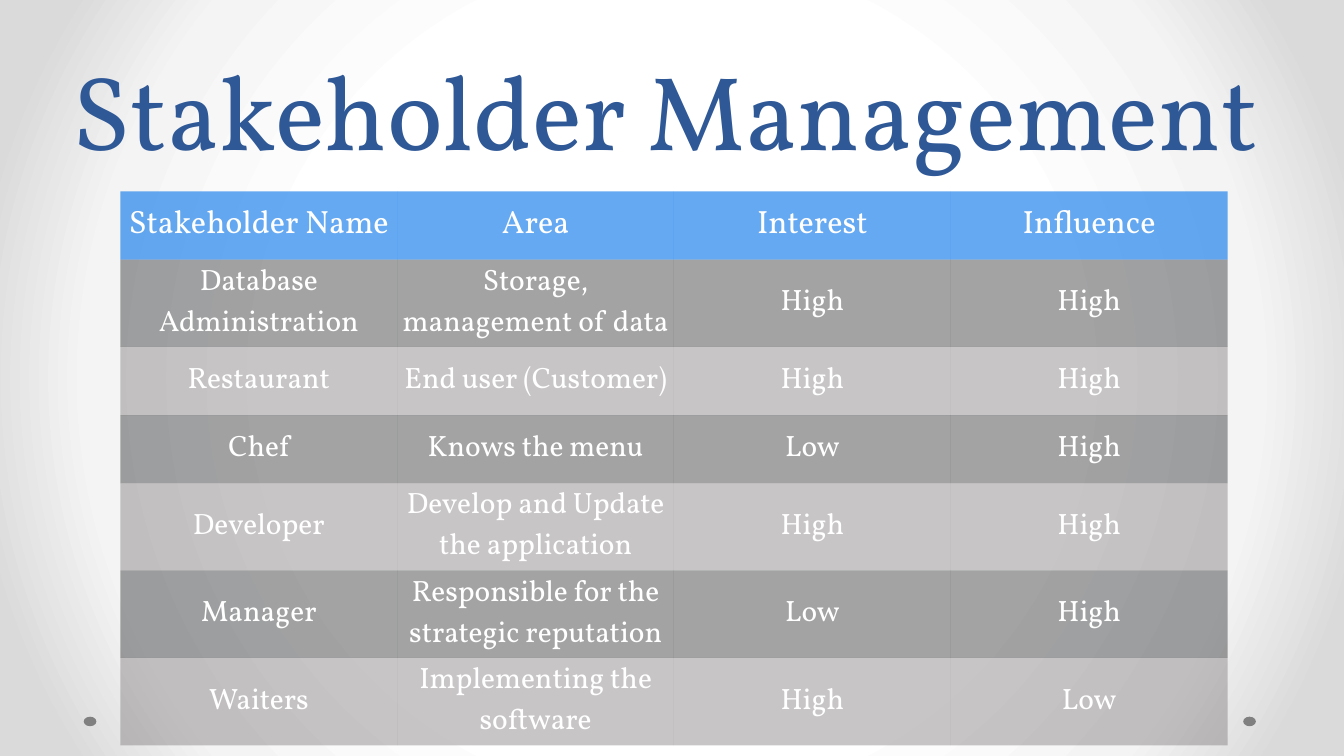
import pptx
import pptx.util
import pptx.dml.color
import pptx.enum.shapes
import pptx.enum.text
import pptx.oxml
import pptx.oxml.ns
import lxml.etree

Cm = pptx.util.Cm
Pt = pptx.util.Pt
RGBColor = pptx.dml.color.RGBColor
qn = pptx.oxml.ns.qn

FONT = "Vollkorn"
TITLE_BLUE = RGBColor(0x2F, 0x58, 0x97)
HEADER_BLUE = RGBColor(0x00, 0x71, 0xEB)
DARK_BAND = RGBColor(0x00, 0x02, 0x05)
LIGHT_BAND = RGBColor(0x67, 0x61, 0x64)
DOT_GREY = RGBColor(0x80, 0x80, 0x80)
WHITE = RGBColor(0xFF, 0xFF, 0xFF)
BACKDROP_STOPS = [(50, WHITE), (76, RGBColor(0xF4, 0xF4, 0xF4)),
                  (92, RGBColor(0xDA, 0xDA, 0xDA))]
NO_STYLE_NO_GRID = "{2D5ABB26-0587-4C30-8999-92F81FD0307C}"

STAKEHOLDERS = [
    ("Stakeholder Name", "Area", "Interest", "Influence"),
    ("Database Administration", "Storage, management of data", "High", "High"),
    ("Restaurant", "End user (Customer)", "High", "High"),
    ("Chef", "Knows the menu", "Low", "High"),
    ("Developer", "Develop and Update the application", "High", "High"),
    ("Manager", "Responsible for the strategic reputation", "Low", "High"),
    ("Waiters", "Implementing the software", "High", "Low"),
]
ROW_HEIGHTS = [3.43, 3.53, 3.43, 3.43, 3.53, 3.53, 3.53]
COLUMN_WIDTH = 13.95

presentation = pptx.Presentation()
presentation.slide_width = Cm(67.74)
presentation.slide_height = Cm(38.1)
slide = presentation.slides.add_slide(presentation.slide_layouts[0])

# Radial background
slide.background.fill.gradient()
linear = next(slide.element.iter(qn("a:gradFill")))
stops = "".join(f'<a:gs pos="{position * 1000}"><a:srgbClr val="{color}"/></a:gs>'
                for position, color in BACKDROP_STOPS)
radial = pptx.oxml.parse_xml(
    f'<a:gradFill {pptx.oxml.ns.nsdecls("a")} rotWithShape="1"><a:gsLst>{stops}</a:gsLst>'
    '<a:path path="circle"><a:fillToRect l="50000" t="50000" r="50000" b="50000"/>'
    '</a:path></a:gradFill>')
linear.getparent().replace(linear, radial)

# Corner dots
for left in (62.66, 4.22):
    dot = slide.shapes.add_shape(pptx.enum.shapes.MSO_SHAPE.OVAL,
                                 Cm(left), Cm(36.12), Cm(0.64), Cm(0.48))
    dot.shadow.inherit = False
    dot.fill.solid()
    dot.fill.fore_color.rgb = DOT_GREY
    dot.line.fill.background()

# Title, with the unused subtitle removed
subtitle = slide.placeholders[1].element
subtitle.getparent().remove(subtitle)
title = slide.shapes.title
title.left, title.top, title.width, title.height = Cm(2.06), Cm(-4.75), Cm(62.94), Cm(13.69)
frame = title.text_frame
frame.text = "Stakeholder Management"
frame.word_wrap = True
frame.auto_size = pptx.enum.text.MSO_AUTO_SIZE.NONE
frame.vertical_anchor = pptx.enum.text.MSO_ANCHOR.BOTTOM
frame.margin_left = frame.margin_right = Cm(0.6)
frame.margin_top = frame.margin_bottom = Cm(0.3)
paragraph = frame.paragraphs[0]
paragraph.alignment = pptx.enum.text.PP_ALIGN.CENTER
paragraph.font.name = FONT
paragraph.font.size = Pt(150)
paragraph.font.color.rgb = TITLE_BLUE

# Stakeholder table
table = slide.shapes.add_table(
    len(STAKEHOLDERS), 4, Cm(6.07), Cm(9.65),
    Cm(4 * COLUMN_WIDTH), Cm(sum(ROW_HEIGHTS))).table
table.horz_banding = False
next(slide.element.iter(qn("a:tableStyleId"))).text = NO_STYLE_NO_GRID
for column in table.columns:
    column.width = Cm(COLUMN_WIDTH)

for row_index, texts in enumerate(STAKEHOLDERS):
    table.rows[row_index].height = Cm(ROW_HEIGHTS[row_index])
    if row_index == 0:
        color, opacity, size = HEADER_BLUE, 60, 46
    else:
        color, opacity, size = (DARK_BAND if row_index % 2 else LIGHT_BAND), 36, 42
    for column_index, text in enumerate(texts):
        cell = table.cell(row_index, column_index)
        cell.text = text
        cell.vertical_anchor = pptx.enum.text.MSO_ANCHOR.MIDDLE
        cell.margin_left = cell.margin_right = Cm(0.14)
        cell.margin_top = cell.margin_bottom = Cm(0.14)
        paragraph = cell.text_frame.paragraphs[0]
        paragraph.alignment = pptx.enum.text.PP_ALIGN.CENTER
        paragraph.font.name = FONT
        paragraph.font.size = Pt(size)
        paragraph.font.bold = False
        paragraph.font.color.rgb = WHITE
        # Translucent fill
        cell.fill.solid()
        cell.fill.fore_color.rgb = color
        fill_color = cell._tc.tcPr.find(qn("a:solidFill"))[0]
        lxml.etree.SubElement(fill_color, qn("a:alpha")).set("val", str(opacity * 1000))

presentation.save("out.pptx")
